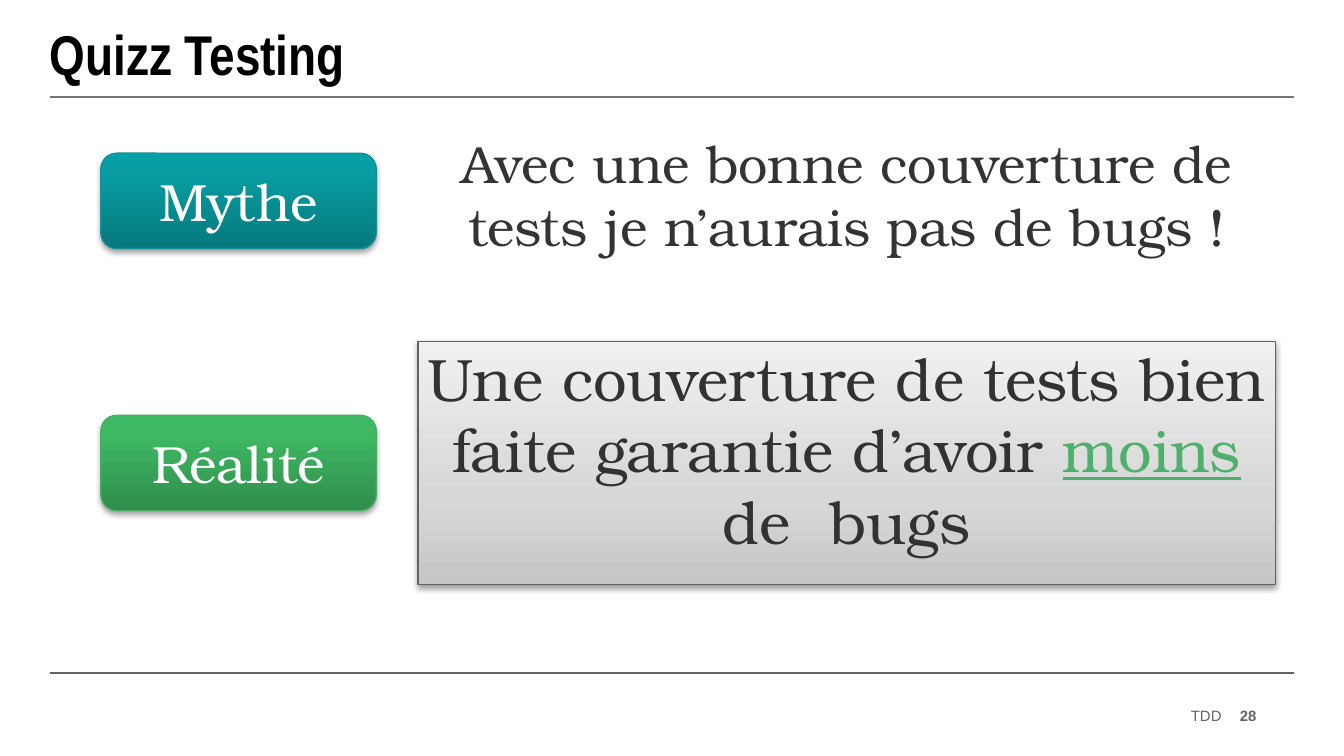
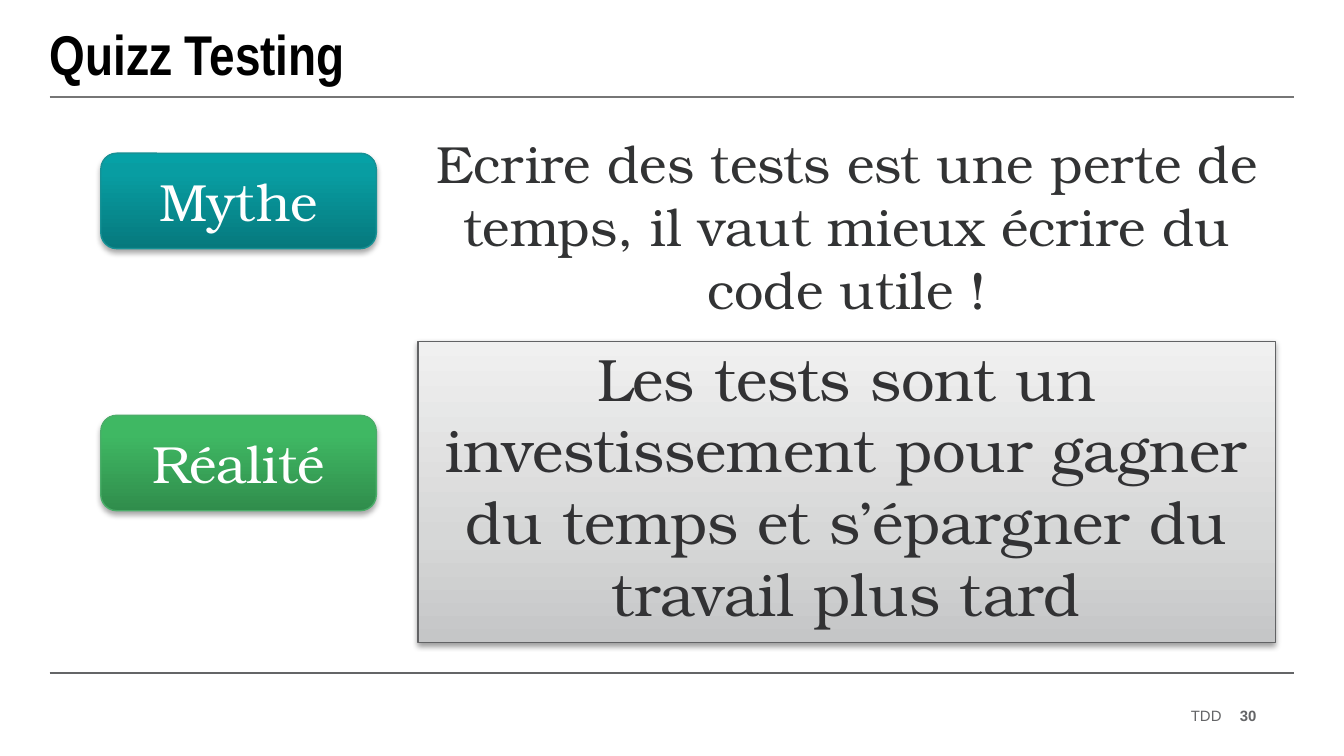
import pptx
import pptx.util
import pptx.dml.color
import pptx.enum.shapes
import pptx.enum.text
import pptx.oxml
import pptx.oxml.ns

SHAPE = pptx.enum.shapes.MSO_SHAPE
ALIGN = pptx.enum.text.PP_ALIGN
ANCHOR = pptx.enum.text.MSO_ANCHOR
NS = pptx.oxml.ns.nsdecls("a")


def inch(*sizes):
    return [pptx.util.Inches(size) for size in sizes]


def tint(code):
    return pptx.dml.color.RGBColor.from_string(code)


def write(frame, text, font="TeX Gyre Bonum", size=28, color="323334", bold=False,
          align=ALIGN.CENTER, anchor=ANCHOR.TOP, pad=(0, 0), wrap=True, mark=None):
    frame.word_wrap = wrap
    frame.auto_size = pptx.enum.text.MSO_AUTO_SIZE.NONE
    frame.vertical_anchor = anchor
    frame.margin_left = frame.margin_right = pptx.util.Inches(pad[0])
    frame.margin_top = frame.margin_bottom = pptx.util.Inches(pad[1])
    para = frame.paragraphs[0]
    para.alignment = align
    before, key, after = text.partition(mark) if mark else (text, "", "")
    for part in filter(None, (before, key, after)):
        run = para.add_run()
        run.text = part
        run.font.name = font
        run.font.size = pptx.util.Pt(size)
        run.font.bold = bold
        run.font.color.rgb = tint(color)
        if part == mark:
            run.font.color.rgb = tint("4FAF6C")
            run.font.underline = True


class Deck:
    teal = ((0, "06797D"), (80, "089DA2"), (100, "06A1A6"))
    green = ((0, "308D4C"), (80, "3FB863"), (100, "3DBB63"))
    gray = ((0, "C5C6C7"), (35, "D6D7D7"), (100, "F0F0F0"))
    ink = "646567"
    left, right = 0.37, 9.63

    def __init__(self):
        self.file = pptx.Presentation()
        self.file.slide_width, self.file.slide_height = inch(10, 10 * 9 / 16)
        self.slide = None

    def page(self, title, number):
        self.slide = self.file.slides.add_slide(self.file.slide_layouts[5])
        self.rule(5.01, self.ink)
        self.rule(0.72, "767676")
        head = self.slide.shapes.title
        head.left, head.top, head.width, head.height = inch(self.left, 0.09, 9.25, 0.61)
        write(head.text_frame, title, font="Arial Narrow", size=30, color="000000",
              bold=True, align=ALIGN.LEFT, anchor=ANCHOR.MIDDLE)
        foot = dict(font="Arial", size=8, color=self.ink, align=ALIGN.RIGHT,
                    anchor=ANCHOR.MIDDLE, wrap=False)
        self.text("TDD", (6.89, 5.25, 2.2, 0.15), **foot)
        self.text(str(number), (9.15, 5.25, 0.2, 0.15), bold=True, **foot)

    def rule(self, y, color):
        line = self.slide.shapes.add_connector(
            pptx.enum.shapes.MSO_CONNECTOR.STRAIGHT,
            *inch(self.left, y, self.right, y))
        line.line.color.rgb = tint(color)
        line.line.width = pptx.util.Pt(1)
        line._element.spPr.append(pptx.oxml.parse_xml(f"<a:effectLst {NS}/>"))

    def text(self, text, place, **style):
        box = self.slide.shapes.add_textbox(*inch(*place))
        write(box.text_frame, text, **style)

    def block(self, kind, text, place, stops, edge, depth, alpha, **style):
        box = self.slide.shapes.add_shape(kind, *inch(*place))
        box.shadow.inherit = False
        box.line.color.rgb = tint(edge)
        box.line.width = pptx.util.Pt(0.75)
        props = box._element.spPr
        marks = "".join(f'<a:gs pos="{pos * 1000}"><a:srgbClr val="{code}"/></a:gs>'
                        for pos, code in stops)
        props.find(pptx.oxml.ns.qn("a:prstGeom")).addnext(pptx.oxml.parse_xml(
            f'<a:gradFill {NS} rotWithShape="1"><a:gsLst>{marks}</a:gsLst>'
            '<a:lin ang="16200000" scaled="0"/></a:gradFill>'))
        props.find(pptx.oxml.ns.qn("a:effectLst")).append(pptx.oxml.parse_xml(
            f'<a:outerShdw {NS} blurRad="{pptx.util.Pt(3.1)}" '
            f'dist="{pptx.util.Pt(depth)}" dir="5400000" rotWithShape="0">'
            f'<a:srgbClr val="000000"><a:alpha val="{alpha * 1000}"/></a:srgbClr>'
            '</a:outerShdw>'))
        write(box.text_frame, text, **style)

    def label(self, text, y, stops, edge):
        self.block(SHAPE.ROUNDED_RECTANGLE, text, (0.75, y, 2.05, 0.71), stops, edge,
                   1.8, 35, color="FFFFFF", anchor=ANCHOR.MIDDLE, pad=(0.1, 0.1))

    def panel(self, text, height, mark):
        self.block(SHAPE.RECTANGLE, text, (3.11, 2.54, 6.38, height), self.gray,
                   "626365", 1.6, 38, size=32, color="323234", mark=mark)

    def quiz(self, number, myth, truth, height, mark=None):
        self.page("Quizz Testing", number)
        self.text(myth, (3.11, 0.93, 6.38, 3.92), pad=(0.1, 0.05))
        self.label("Mythe", 1.14, self.teal, "179195")
        self.panel(truth, height, mark)
        self.label("Réalité", 3.09, self.green, "4BAD69")


def main():
    deck = Deck()
    deck.quiz(28, "Avec une bonne couverture de tests je n’aurais pas de bugs !",
              "Une couverture de tests bien faite garantie d’avoir moins de  bugs",
              1.81, mark="moins")
    deck.quiz(30, "Ecrire des tests est une perte de temps, il vaut mieux écrire "
              "du code utile !",
              "Les tests sont un investissement pour gagner du temps et s’épargner "
              "du travail plus tard", 2.24)
    deck.file.save("out.pptx")


if __name__ == "__main__":
    main()
